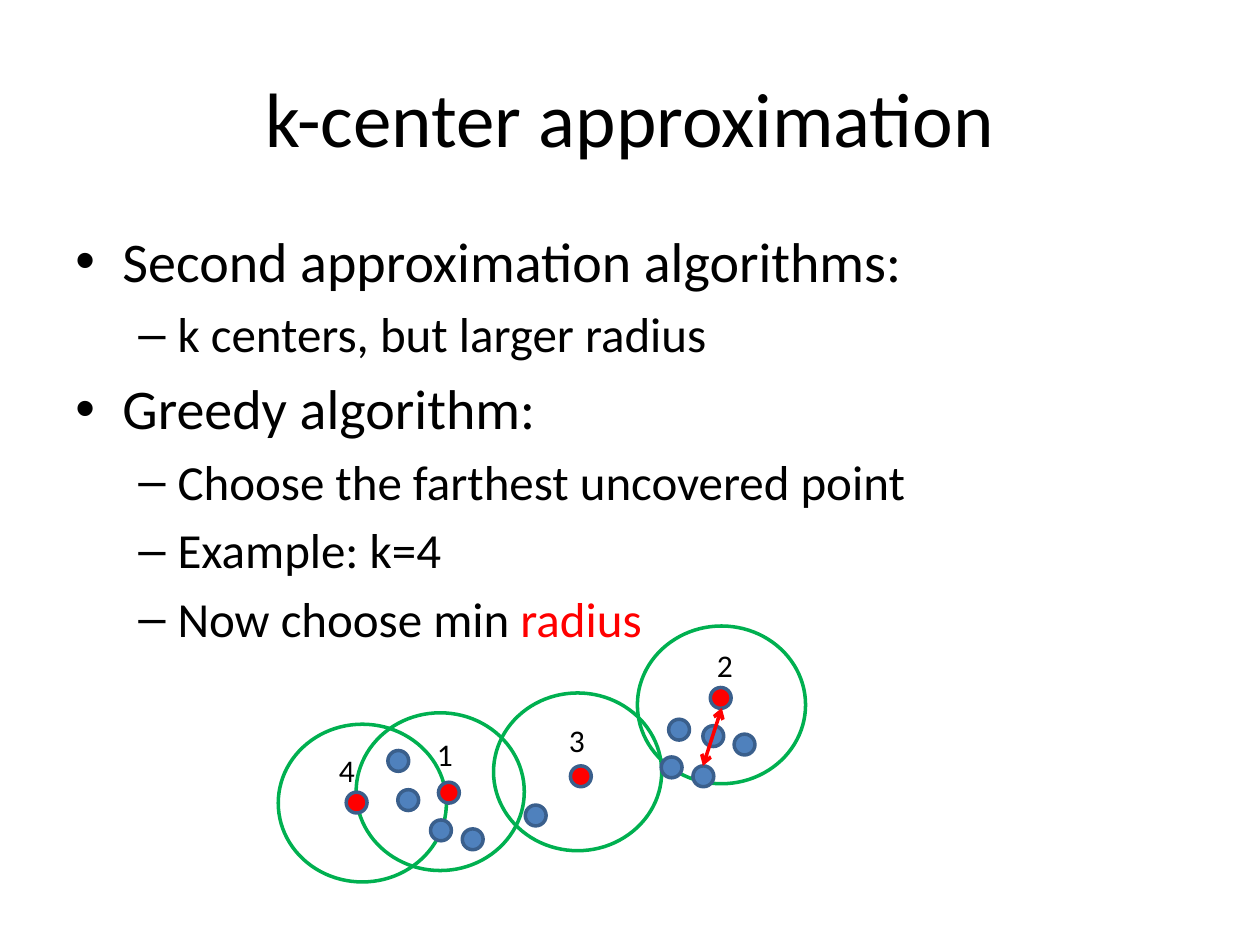
import pptx
import pptx.dml.color
import pptx.enum.shapes
import pptx.enum.text
import pptx.oxml
import pptx.oxml.ns
import pptx.util

Cm = pptx.util.Cm
Pt = pptx.util.Pt
RGBColor = pptx.dml.color.RGBColor
PP_ALIGN = pptx.enum.text.PP_ALIGN
MSO_ANCHOR = pptx.enum.text.MSO_ANCHOR

BLACK = RGBColor(0x00, 0x00, 0x00)
RED = RGBColor(0xFF, 0x00, 0x00)
GREEN = RGBColor(0x00, 0xB0, 0x50)
BLUE = RGBColor(0x4F, 0x81, 0xBD)
DARK_BLUE = RGBColor(0x3A, 0x5F, 0x8C)

FONT = "Calibri"
LINE_WIDTH = Pt(2)
DOT_SIZE = 0.42
LEVELS = [
    {"size": 32, "bullet": "•", "margin": 0.95, "hanging": 0.95},
    {"size": 28, "bullet": "–", "margin": 2.06, "hanging": 0.79},
]
BODY = [
    (0, [("Second approximation algorithms:", BLACK)]),
    (1, [("k centers, but larger radius", BLACK)]),
    (0, [("Greedy algorithm:", BLACK)]),
    (1, [("Choose the farthest uncovered point", BLACK)]),
    (1, [("Example: k=4", BLACK)]),
    (1, [("Now choose min ", BLACK), ("radius", RED)]),
]
COVERS = [(0, 1.98), (1.57, 1.75), (4.34, 1.35), (7.24, 0)]
POINTS = [
    (2.21, 2.51), (2.41, 3.3), (7.72, 2.64), (7.87, 1.88), (8.36, 2.82),
    (8.56, 2.01), (9.19, 2.18), (3.07, 3.91), (3.71, 4.09), (4.98, 3.61),
]
CENTERS = [
    ("1", (3.23, 3.15), (2.95, 2.08)),
    ("2", (8.71, 1.24), (8.59, 0.28)),
    ("3", (5.89, 2.82), (5.61, 1.8)),
    ("4", (1.37, 3.35), (0.97, 2.39)),
]
RADIUS_ENDS = (8.56, 2.82), (8.94, 1.65)


def add_span(para, text, size=18, color=BLACK):
    """Append formatted text to a paragraph."""
    span = para.add_run()
    span.text = text
    span.font.name = FONT
    span.font.size = Pt(size)
    span.font.color.rgb = color


def add_box(page, left, top, width, height, wrap=True, anchor=MSO_ANCHOR.TOP):
    """Add an empty text box and return its text frame."""
    frame = page.shapes.add_textbox(Cm(left), Cm(top), Cm(width), Cm(height)).text_frame
    frame.word_wrap = wrap
    frame.vertical_anchor = anchor
    return frame


def add_ellipse(page, left, top, width, height, line, fill=None):
    """Add an outlined ellipse, hollow unless a fill is given."""
    ellipse = page.shapes.add_shape(
        pptx.enum.shapes.MSO_SHAPE.OVAL, Cm(left), Cm(top), Cm(width), Cm(height))
    ellipse.shadow.inherit = False
    ellipse.line.color.rgb = line
    ellipse.line.width = LINE_WIDTH
    if fill is None:
        ellipse.fill.background()
    else:
        ellipse.fill.solid()
        ellipse.fill.fore_color.rgb = fill


def set_bullet(para, bullet, margin, hanging):
    """Give a paragraph a bullet with a hanging indent."""
    properties = para._p.get_or_add_pPr()
    properties.set("marL", str(Cm(margin)))
    properties.set("indent", str(-Cm(hanging)))
    ns = pptx.oxml.ns.nsdecls("a")
    properties.append(pptx.oxml.parse_xml(f'<a:buFont {ns} typeface="Arial"/>'))
    properties.append(pptx.oxml.parse_xml(f'<a:buChar {ns} char="{bullet}"/>'))


def add_title(page, left, top, width, height):
    """Place the centred title."""
    frame = add_box(page, left, top, width, height, anchor=MSO_ANCHOR.MIDDLE)
    para = frame.paragraphs[0]
    para.alignment = PP_ALIGN.CENTER
    add_span(para, "k-center approximation", size=44)


def add_body(page, left, top, width, height):
    """Place the two-level bullet list."""
    frame = add_box(page, left, top, width, height)
    for index, (level, spans) in enumerate(BODY):
        para = frame.add_paragraph() if index else frame.paragraphs[0]
        style = LEVELS[level]
        para.level = level
        set_bullet(para, style["bullet"], style["margin"], style["hanging"])
        if index:
            para.space_before = Pt(0.2 * style["size"])
        for text, color in spans:
            add_span(para, text, size=style["size"], color=color)


def add_covers(page, left, top):
    """Draw the circles that cover the points."""
    for x, y in COVERS:
        add_ellipse(page, left + x, top + y, 3.39, 3.18, GREEN)


def add_points(page, left, top):
    """Draw the points, the numbered centers and the radius arrow."""
    dots = [(spot, BLUE) for spot in POINTS] + [(spot, RED) for _, spot, _ in CENTERS]
    for (x, y), fill in dots:
        add_ellipse(page, left + x, top + y, DOT_SIZE, DOT_SIZE, DARK_BLUE, fill)
    for number, _, (x, y) in CENTERS:
        frame = add_box(page, left + x, top + y, 0.84, 1.02, wrap=False)
        add_span(frame.paragraphs[0], number)
    add_radius(page, left, top)


def add_radius(page, left, top):
    """Draw the double-headed radius arrow."""
    (x1, y1), (x2, y2) = RADIUS_ENDS
    arrow = page.shapes.add_connector(
        pptx.enum.shapes.MSO_CONNECTOR.STRAIGHT,
        Cm(left + x1), Cm(top + y1), Cm(left + x2), Cm(top + y2))
    arrow.line.color.rgb = RED
    arrow.line.width = LINE_WIDTH
    ns = pptx.oxml.ns.nsdecls("a")
    for end in ("headEnd", "tailEnd"):
        arrow.line._ln.append(pptx.oxml.parse_xml(f'<a:{end} {ns} type="arrow"/>'))
    arrow._element.spPr.append(pptx.oxml.parse_xml(f"<a:effectLst {ns}/>"))


def main():
    """Build the slide and save it."""
    deck = pptx.Presentation()
    deck.slide_width = Cm(25.4)
    deck.slide_height = Cm(19.05)
    page = deck.slides.add_slide(deck.slide_layouts[6])
    add_covers(page, 5.61, 12.62)
    add_title(page, 1.27, 0.76, 22.86, 3.18)
    add_body(page, 1.27, 4.45, 22.86, 12.57)
    add_points(page, 5.61, 12.62)
    deck.save("out.pptx")


if __name__ == "__main__":
    main()
